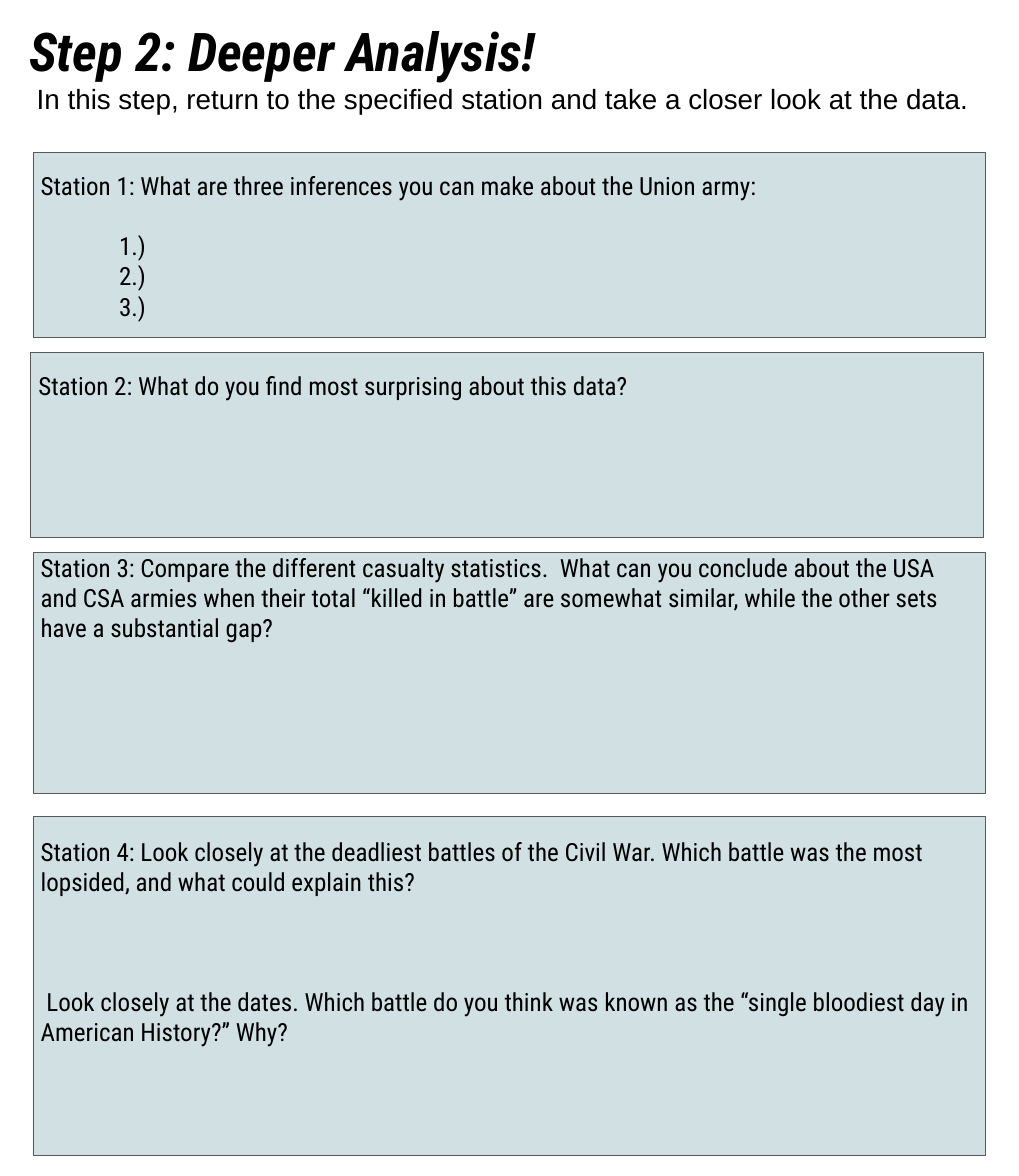
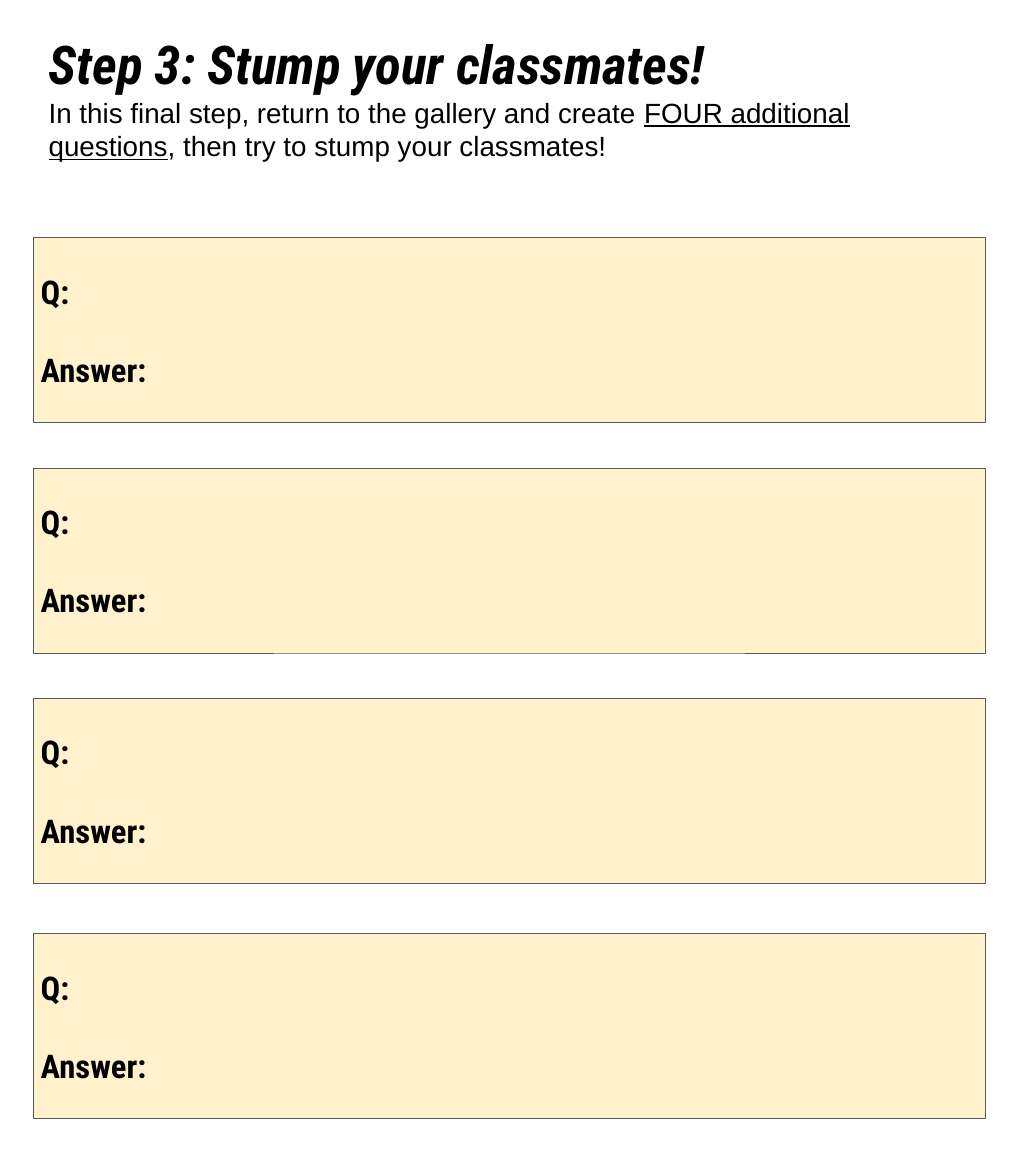
from pptx import Presentation
from pptx.dml.color import RGBColor
from pptx.enum import shapes, text
from pptx.util import Inches, Pt

COLORS = {"ink": "000000", "border": "595959", "station": "D0E0E3", "question": "FFF2CC"}
HEAD_FONT, BODY_FONT = "Roboto Condensed", "Arial"
BOX_LEFT, BOX_WIDTH, BOX_HEIGHT = 0.42, 12.15, 2.36
STATION_LINE = 27.55  # height of one line of station text, in points

# Station boxes: left, top, height, top inset, paragraphs (text, blank lines before, indent)
STATIONS = [
    (BOX_LEFT, 1.95, BOX_HEIGHT, 0.23,
     [("Station 1: What are three inferences you can make about the Union army:", 0, 0),
      ("1.)", 1, 1), ("2.)", 0, 1), ("3.)", 0, 1)]),
    (0.39, 4.5, BOX_HEIGHT, 0.23,
     [("Station 2: What do you find most surprising about this data?", 0, 0)]),
    (BOX_LEFT, 7.05, 3.07, 0,
     [("Station 3: Compare the different casualty statistics.  What can you conclude about "
       "the USA and CSA armies when their total “killed in battle” are somewhat similar, "
       "while the other sets have a substantial gap?", 0, 0)]),
    (BOX_LEFT, 10.41, 4.33, 0.26,
     [("Station 4: Look closely at the deadliest battles of the Civil War. Which battle was "
       "the most lopsided, and what could explain this?", 0, 0),
      (" Look closely at the dates. Which battle do you think was known as the “single "
       "bloodiest day in American History?” Why?", 3, 0)]),
]
QUESTION_TOPS = (3.03, 5.97, 8.91, 11.91)


def style(run, font, size, bold=False, italic=False, underline=False):
    run.font.name, run.font.size = font, Pt(size)
    run.font.bold, run.font.italic, run.font.underline = bold, italic, underline
    run.font.color.rgb = RGBColor.from_string(COLORS["ink"])


def set_frame(frame, inset, anchor):
    frame.word_wrap = True
    frame.auto_size = text.MSO_AUTO_SIZE.NONE
    frame.vertical_anchor = anchor
    frame.margin_left = frame.margin_right = Inches(inset)
    frame.margin_top = frame.margin_bottom = Inches(inset)


def add_step(deck, left, top, width, heading, directions):
    """Slide with a heading and directions, the latter as (words, underlined) pairs."""
    slide = deck.slides.add_slide(deck.slide_layouts[5])
    title = slide.shapes.title
    title.left, title.top = Inches(left), Inches(top)
    title.width, title.height = Inches(width), Inches(2.17)
    frame = title.text_frame
    set_frame(frame, 0.18, text.MSO_ANCHOR.TOP)
    frame.text = heading
    style(frame.paragraphs[0].runs[0], HEAD_FONT, 49, bold=True, italic=True)
    direction_line = frame.add_paragraph()
    for words, underlined in directions:
        run = direction_line.add_run()
        run.text = words
        style(run, BODY_FONT, 25.5, underline=underlined)
    for paragraph in frame.paragraphs:
        paragraph.alignment = text.PP_ALIGN.LEFT
    return slide


def add_box(slide, left, top, height, fill, anchor):
    """Bordered answer box; returns its text frame."""
    box = slide.shapes.add_shape(shapes.MSO_SHAPE.RECTANGLE, Inches(left), Inches(top),
                                 Inches(BOX_WIDTH), Inches(height))
    box.shadow.inherit = False
    box.fill.solid()
    box.fill.fore_color.rgb = RGBColor.from_string(COLORS[fill])
    box.line.color.rgb = RGBColor.from_string(COLORS["border"])
    box.line.width = Pt(0.75)
    set_frame(box.text_frame, 0.1, anchor)
    return box.text_frame


def fill_lines(frame, lines, size, line_height, bold=False):
    frame.text = "\n".join(words for words, _, _ in lines)
    for paragraph, (_, blank_lines, indent) in zip(frame.paragraphs, lines):
        paragraph.alignment = text.PP_ALIGN.LEFT
        paragraph.space_before = Pt(blank_lines * line_height)
        if indent:
            properties = paragraph._p.get_or_add_pPr()
            properties.set("marL", str(Inches(indent)))
            properties.set("indent", "0")
        style(paragraph.runs[0], HEAD_FONT, size, bold=bold)


def add_station(slide, left, top, height, inset, lines):
    frame = add_box(slide, left, top, height, "station", text.MSO_ANCHOR.TOP)
    frame.margin_top = Inches(inset)
    fill_lines(frame, lines, 23, STATION_LINE)


def add_question(slide, top):
    frame = add_box(slide, BOX_LEFT, top, BOX_HEIGHT, "question", text.MSO_ANCHOR.MIDDLE)
    fill_lines(frame, [("Q:", 0, 0), ("Answer:", 1, 0)], 30, 35.8, bold=True)


def main():
    deck = Presentation()
    deck.slide_width, deck.slide_height = Inches(13), Inches(15)

    # Step 2: one box for each station
    analysis = add_step(deck, 0.19, 0.05, 12.56, "Step 2: Deeper Analysis!", [
        (" In this step, return to the specified station and take a closer look at the data.",
         False)])
    for station in STATIONS:
        add_station(analysis, *station)

    # Step 3: four boxes for questions and answers
    stump = add_step(deck, 0.44, 0.22, 12.11, "Step 3: Stump your classmates!", [
        ("In this final step, return to the gallery and create ", False),
        ("FOUR additional questions", True),
        (", then try to stump your classmates!", False)])
    for top in QUESTION_TOPS:
        add_question(stump, top)

    deck.save("out.pptx")


if __name__ == "__main__":
    main()
